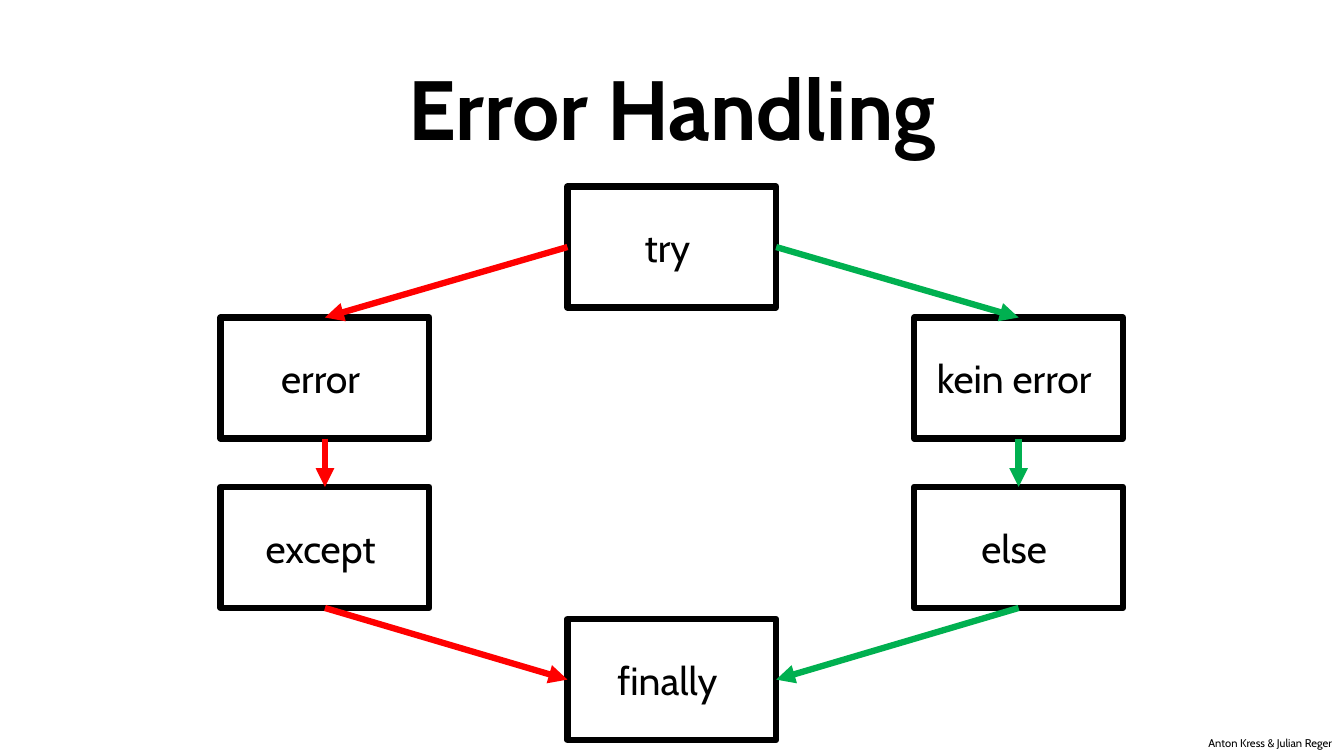
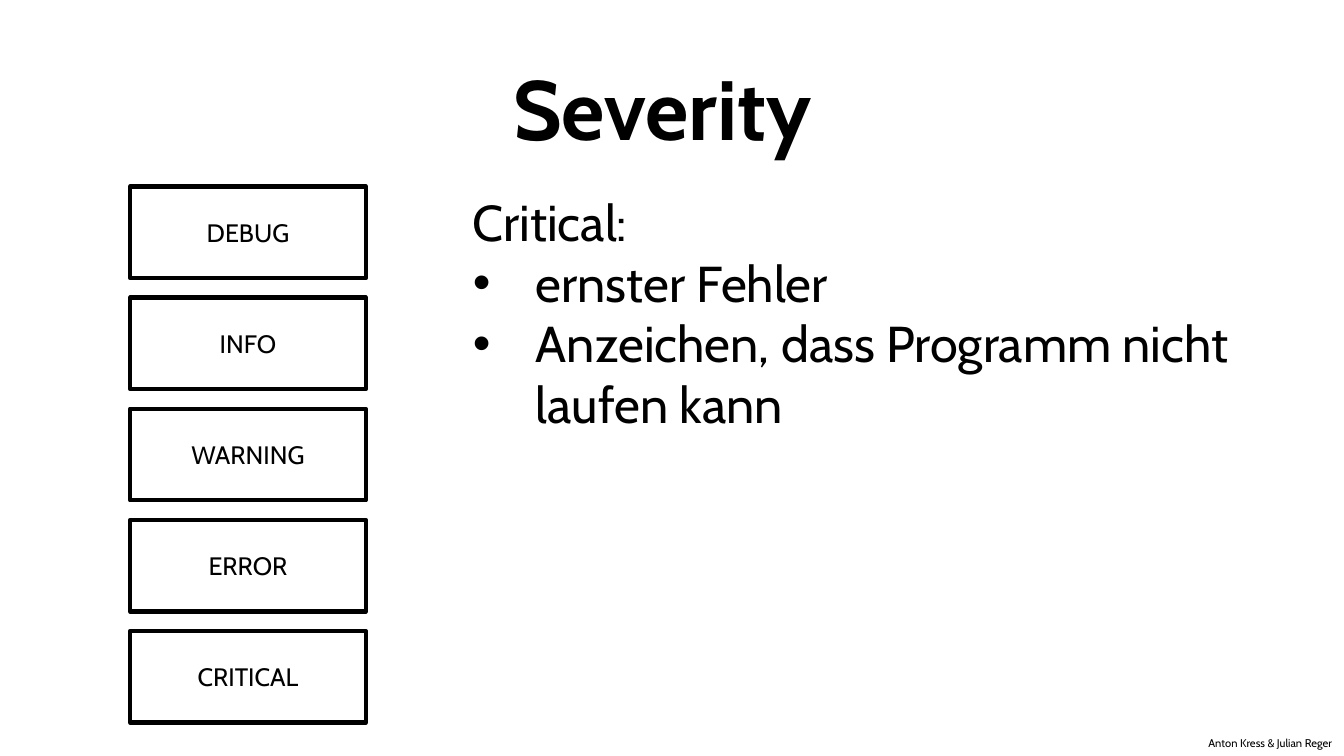
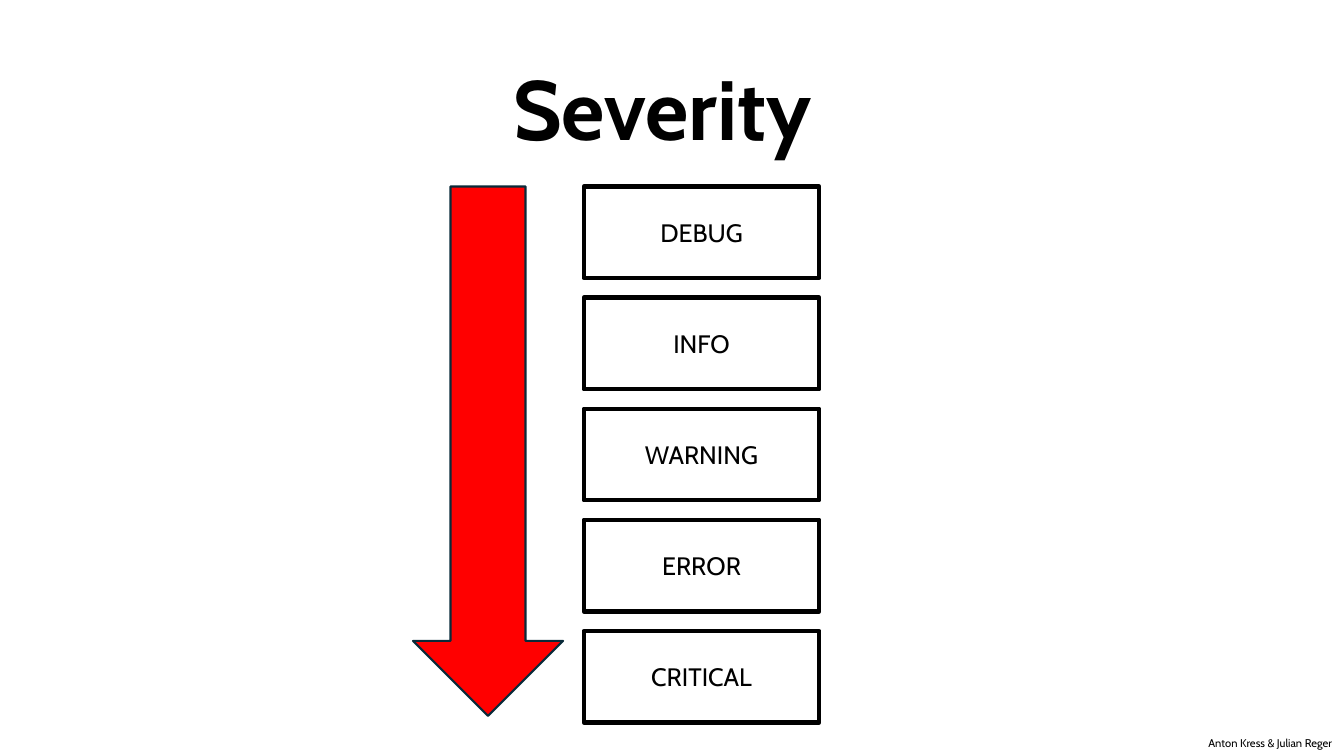
import pptx
import pptx.dml.color
import pptx.enum.dml
import pptx.enum.shapes
import pptx.enum.text
import pptx.oxml.ns
import pptx.util
from lxml import etree

Cm = pptx.util.Cm
Pt = pptx.util.Pt
RGBColor = pptx.dml.color.RGBColor
SHAPES = pptx.enum.shapes.MSO_SHAPE
CENTER = pptx.enum.text.PP_ALIGN.CENTER
MIDDLE = pptx.enum.text.MSO_ANCHOR.MIDDLE
qn = pptx.oxml.ns.qn

BLACK = RGBColor(0x00, 0x00, 0x00)
WHITE = RGBColor(0xFF, 0xFF, 0xFF)
RED = RGBColor(0xFF, 0x00, 0x00)
GREEN = RGBColor(0x00, 0xB0, 0x50)
ARROW_EDGE = RGBColor(0x09, 0x2A, 0x39)
FONT = "Cabin"
CONTENT_TOP = 4.7

presentation = pptx.Presentation()
presentation.slide_width = Cm(33.87)
presentation.slide_height = Cm(19.05)
TITLE_AND_CONTENT = presentation.slide_layouts[1]
TITLE_ONLY = presentation.slide_layouts[5]


def write(paragraph, text, size, bold=False):
    """Add one run in the deck's typeface."""
    run = paragraph.add_run()
    run.text = text
    run.font.name = FONT
    run.font.size = Pt(size)
    run.font.bold = bold
    run.font.color.rgb = BLACK


def add_box(slide, label, left, top, width, height, size, border):
    box = slide.shapes.add_shape(SHAPES.RECTANGLE, Cm(left), Cm(top), Cm(width), Cm(height))
    box.shadow.inherit = False
    box.fill.solid()
    box.fill.fore_color.rgb = WHITE
    box.line.color.rgb = BLACK
    box.line.width = Pt(border)
    box.text_frame.vertical_anchor = MIDDLE
    box.text_frame.paragraphs[0].alignment = CENTER
    write(box.text_frame.paragraphs[0], label, size)
    return box


# Titles and footers
for layout, heading in (
    (TITLE_ONLY, "Error Handling"),
    (TITLE_AND_CONTENT, "Severity "),
    (TITLE_ONLY, "Severity "),
):
    slide = presentation.slides.add_slide(layout)
    title = slide.shapes.title
    title.left, title.top, title.width, title.height = Cm(2.33), Cm(1.01), Cm(29.21), Cm(3.68)
    title.text_frame.vertical_anchor = MIDDLE
    title_line = title.text_frame.paragraphs[0]
    title_line.alignment = CENTER
    title_line.line_spacing = 0.9
    write(title_line, heading, 60, bold=True)

    authors = slide.shapes.add_textbox(Cm(30.2), Cm(18.44), Cm(3.67), Cm(0.6))
    authors.text_frame.word_wrap = True
    authors.text_frame.margin_right = 0
    write(authors.text_frame.paragraphs[0], "Anton Kress & Julian Reger", 8)

error_slide, critical_slide, overview_slide = presentation.slides

# Error handling: flow from try to finally
COLUMNS = [5.56 + 8.74 * column for column in range(3)]
ROWS = [CONTENT_TOP, 8.0, 12.27, 15.6]
steps = {}
for step, column, row in (
    ("kein error", 2, 1),
    ("try", 1, 0),
    ("error", 0, 1),
    ("except", 0, 2),
    ("else", 2, 2),
    ("finally", 1, 3),
):
    steps[step] = add_box(error_slide, step + " ", COLUMNS[column], ROWS[row], 5.26, 3.05, 28, 4.5)

TOP, LEFT, BOTTOM, RIGHT = range(4)
for source, source_side, target, target_side, color in (
    ("try", LEFT, "error", TOP, RED),
    ("try", RIGHT, "kein error", TOP, GREEN),
    ("error", BOTTOM, "except", TOP, RED),
    ("kein error", BOTTOM, "else", TOP, GREEN),
    ("except", BOTTOM, "finally", LEFT, RED),
    ("else", BOTTOM, "finally", RIGHT, GREEN),
):
    flow = error_slide.shapes.add_connector(pptx.enum.shapes.MSO_CONNECTOR.STRAIGHT, 0, 0, 0, 0)
    flow.begin_connect(steps[source], source_side)
    flow.end_connect(steps[target], target_side)
    flow.line.color.rgb = color
    flow.line.width = Pt(4.5)
    properties = flow.element.spPr
    etree.SubElement(properties.find(qn("a:ln")), qn("a:tailEnd"), type="triangle")
    etree.SubElement(properties, qn("a:effectLst"))

# Severity: the five levels on both slides
LEVELS = ("DEBUG", "INFO", "WARNING", "ERROR", "CRITICAL")
for slide, left in ((critical_slide, 3.28), (overview_slide, 14.71)):
    for position, level in enumerate(LEVELS):
        add_box(slide, level, left, CONTENT_TOP + 2.8 * position, 5.94, 2.31, 18, 3)

# Severity: description of the critical level
description = critical_slide.placeholders[1]
description.left, description.top = Cm(11.66), Cm(CONTENT_TOP)
description.width, description.height = Cm(20.4), Cm(6.4)
description.text_frame.auto_size = pptx.enum.text.MSO_AUTO_SIZE.NONE
for position, (text, bulleted) in enumerate((
    ("Critical:", False),
    ("ernster Fehler", True),
    ("Anzeichen, dass Programm nicht laufen kann", True),
)):
    frame = description.text_frame
    paragraph = frame.add_paragraph() if position else frame.paragraphs[0]
    paragraph.space_before = Pt(0)
    write(paragraph, text, 36)
    paragraph_format = paragraph._p.get_or_add_pPr()
    indent = Cm(1.59) if bulleted else 0
    paragraph_format.set("marL", str(indent))
    paragraph_format.set("indent", str(-indent))
    if bulleted:
        etree.SubElement(paragraph_format, qn("a:buFont"), typeface="Arial")
        etree.SubElement(paragraph_format, qn("a:buChar"), char="•")
    else:
        etree.SubElement(paragraph_format, qn("a:buNone"))

# Severity: arrow of rising severity
rising = overview_slide.shapes.add_shape(
    SHAPES.DOWN_ARROW, Cm(10.41), Cm(CONTENT_TOP), Cm(3.78), Cm(13.34)
)
rising.shadow.inherit = False
rising.fill.solid()
rising.fill.fore_color.rgb = RED
rising.line.color.rgb = ARROW_EDGE
rising.line.width = Pt(1.5)

presentation.save("out.pptx")
